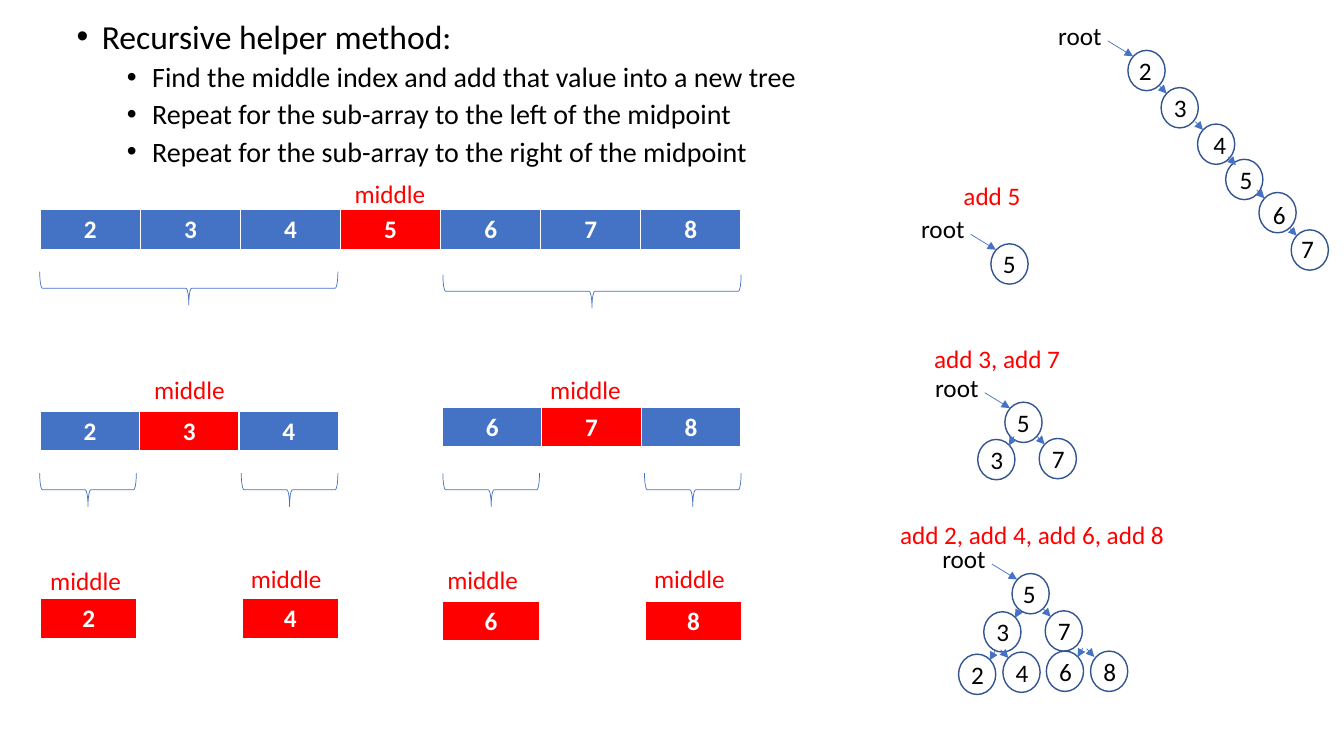
from dataclasses import dataclass

from lxml.etree import SubElement
from pptx import Presentation
from pptx.dml.color import RGBColor
from pptx.enum.shapes import MSO_CONNECTOR, MSO_SHAPE
from pptx.enum.text import MSO_ANCHOR, MSO_AUTO_SIZE, PP_ALIGN
from pptx.oxml.ns import qn
from pptx.slide import Slide
from pptx.text.text import Font
from pptx.util import Pt


@dataclass(frozen=True)
class Theme:
    font: str = "Calibri"
    heading_size: int = 24
    point_size: int = 20
    label_size: int = 18
    black: RGBColor = RGBColor(0x00, 0x00, 0x00)
    white: RGBColor = RGBColor(0xFF, 0xFF, 0xFF)
    red: RGBColor = RGBColor(0xFF, 0x00, 0x00)
    blue: RGBColor = RGBColor(0x44, 0x72, 0xC4)
    outline: RGBColor = RGBColor(0x32, 0x54, 0x91)


@dataclass(frozen=True)
class ArrayRow:
    left: float
    top: float
    values: str
    column_width: float
    label_left: float
    label_top: float


@dataclass(frozen=True)
class Brace:
    left: float
    top: float
    width: float


@dataclass(frozen=True)
class Arrow:
    """Start and end, measured from the top left of the node it points to."""
    start_x: float
    start_y: float
    end_x: float
    end_y: float


@dataclass(frozen=True)
class Node:
    value: str
    left: float
    top: float
    arrow: Arrow
    text_x: float = 2
    text_y: float = 0
    arrow_shift: float = 0


@dataclass(frozen=True)
class Caption:
    text: str
    left: float
    top: float
    width: float


THEME = Theme()
NODE_WIDTH, LABEL_HEIGHT = 26.6, 28.8
ROW_HEIGHT, BRACE_DEPTH = 29, 23.8
MIDDLE_WIDTH, ROOT_WIDTH = 77, 64
ROOT_X, ROOT_Y = -56.9, -25.2

TO_ROOT = Arrow(-14.4, -6.8, 3.6, 4.2)
TO_RIGHT = Arrow(-1.6, -1.7, 3.9, 4.2)
TO_LEFT = Arrow(26, -2.2, 22.3, 4.3)

OUTLINE = [
    (1, "Recursive helper method:"),
    (2, "Find the middle index and add that value into a new tree"),
    (2, "Repeat for the sub-array to the left of the midpoint"),
    (2, "Repeat for the sub-array to the right of the midpoint"),
]
ARRAYS = [
    ArrayRow(28.8, 149.8, "2345678", 71.5, 246.2, 123.8),
    ArrayRow(28.8, 293.8, "234", 71, 103, 264.2),
    ArrayRow(316.1, 290.9, "678", 71, 385.9, 264.2),
    ArrayRow(28.8, 427.7, "2", 69.1, 28.8, 400.3),
    ArrayRow(172.8, 427.7, "4", 69.1, 172.1, 398.9),
    ArrayRow(316.1, 429.8, "6", 69.1, 312.5, 399.6),
    ArrayRow(460.8, 429.8, "8", 69.1, 460.1, 398.9),
]
BRACES = [Brace(28.4, 194, 213), Brace(316.4, 196.2, 213)]
BRACES += [Brace(28.4 + 144 * index, 338, 69) for index in range(4)]

TREES = [
    [Node("2", 805.7, 36, TO_ROOT, 0.7),
     Node("3", 829.4, 62.6, TO_RIGHT),
     Node("4", 855.4, 88.6, TO_RIGHT, 4.3),
     Node("5", 875.5, 113.8, TO_RIGHT, 2.9, arrow_shift=3.4),
     Node("6", 899.3, 137.5, TO_RIGHT, 2.9, 1.4),
     Node("7", 922.3, 164.2, TO_RIGHT, 0, -1.4)],
    [Node("5", 707.8, 174.2, TO_ROOT, 1.4)],
    [Node("5", 717.8, 287.3, TO_ROOT, 1.4),
     Node("3", 698.4, 313.9, TO_LEFT),
     Node("7", 742.3, 313.2, TO_RIGHT)],
    [Node("5", 722.9, 409.7, TO_ROOT, 0.7),
     Node("3", 702.7, 437, TO_LEFT),
     Node("7", 746.6, 436.3, TO_RIGHT),
     Node("2", 684.7, 467.3, TO_LEFT),
     Node("4", 716.4, 465.8, TO_RIGHT),
     Node("6", 747.4, 465.1, TO_LEFT),
     Node("8", 779, 465.1, TO_RIGHT, arrow_shift=-1.2)],
]
CAPTIONS = [
    Caption("add 5", 681.1, 125.3, 98),
    Caption("add 3, add 7", 660.2, 241.9, 133),
    Caption("add 2, add 4, add 6, add 8", 635.8, 367.2, 214),
]


def style_font(font: Font, size: float, color: RGBColor, bold: bool = False) -> None:
    font.name, font.size, font.bold = THEME.font, Pt(size), bold
    font.color.rgb = color


def add_label(page: Slide, text: str, left: float, top: float, width: float,
              color: RGBColor = THEME.black) -> None:
    box = page.shapes.add_textbox(Pt(left), Pt(top), Pt(width), Pt(LABEL_HEIGHT))
    frame = box.text_frame
    frame.text = text
    frame.word_wrap = True
    frame.auto_size = MSO_AUTO_SIZE.SHAPE_TO_FIT_TEXT
    style_font(frame.paragraphs[0].runs[0].font, THEME.label_size, color)


def fill_outline(page: Slide) -> None:
    body = page.placeholders[1]
    body.left, body.top, body.width, body.height = Pt(11.5), Pt(10.8), Pt(584.6), Pt(122.4)
    frame = body.text_frame
    frame.text = "\n".join(text for _, text in OUTLINE)
    frame.auto_size = MSO_AUTO_SIZE.NONE
    frame.vertical_anchor = MSO_ANCHOR.TOP
    for para, (level, _) in zip(frame.paragraphs, OUTLINE):
        para.level = level
        para.line_spacing, para.space_before = 0.9, Pt(5)
        properties = para._p.get_or_add_pPr()
        properties.set("marL", str(Pt(18 + 36 * level)))
        properties.set("indent", str(Pt(-18)))
        SubElement(properties, qn("a:buFont"), typeface="Arial")
        SubElement(properties, qn("a:buChar"), char="•")
        size = THEME.heading_size if level == 1 else THEME.point_size
        style_font(para.runs[0].font, size, THEME.black)


def add_array(page: Slide, row: ArrayRow) -> None:
    count = len(row.values)
    table = page.shapes.add_table(1, count, Pt(row.left), Pt(row.top),
                                  Pt(row.column_width * count), Pt(ROW_HEIGHT)).table
    table.first_row = table.horz_banding = False
    for index, value in enumerate(row.values):
        table.columns[index].width = Pt(row.column_width)
        cell = table.cell(0, index)
        cell.text = value
        para = cell.text_frame.paragraphs[0]
        para.alignment = PP_ALIGN.CENTER
        style_font(para.runs[0].font, THEME.label_size, THEME.white, True)
        # Borders come before the fill in the cell properties
        properties = cell._tc.get_or_add_tcPr()
        for side, weight in (("lnL", 1), ("lnR", 1), ("lnT", 1), ("lnB", 3)):
            border = SubElement(properties, qn(f"a:{side}"), w=str(Pt(weight)))
            paint = SubElement(border, qn("a:solidFill"))
            SubElement(paint, qn("a:srgbClr"), val=str(THEME.white))
        cell.fill.solid()
        cell.fill.fore_color.rgb = THEME.red if index == count // 2 else THEME.blue
    add_label(page, "middle", row.label_left, row.label_top, MIDDLE_WIDTH, THEME.red)


def add_brace(page: Slide, brace: Brace) -> None:
    turn = (brace.width - BRACE_DEPTH) / 2
    shape = page.shapes.add_shape(MSO_SHAPE.LEFT_BRACE, Pt(brace.left + turn),
                                  Pt(brace.top - turn), Pt(BRACE_DEPTH), Pt(brace.width))
    shape.rotation = 270
    shape.shadow.inherit = False
    shape.fill.background()
    shape.line.color.rgb, shape.line.width = THEME.blue, Pt(0.5)


def add_node(page: Slide, node: Node) -> None:
    add_label(page, node.value, node.left + node.text_x, node.top + node.text_y, NODE_WIDTH)
    circle = page.shapes.add_shape(MSO_SHAPE.OVAL, Pt(node.left), Pt(node.top),
                                   Pt(NODE_WIDTH), Pt(LABEL_HEIGHT))
    circle.shadow.inherit = False
    circle.fill.background()
    circle.line.color.rgb, circle.line.width = THEME.outline, Pt(1)

    arrow, left = node.arrow, node.left + node.arrow_shift
    link = page.shapes.add_connector(
        MSO_CONNECTOR.STRAIGHT, Pt(left + arrow.start_x), Pt(node.top + arrow.start_y),
        Pt(left + arrow.end_x), Pt(node.top + arrow.end_y))
    link.line.color.rgb, link.line.width = THEME.blue, Pt(0.5)
    SubElement(link.line._get_or_add_ln(), qn("a:tailEnd"), type="triangle")
    SubElement(link._element.spPr, qn("a:effectLst"))


def main() -> None:
    deck = Presentation()
    deck.slide_width, deck.slide_height = Pt(960), Pt(540)
    page = deck.slides.add_slide(deck.slide_layouts[1])
    title = page.shapes.title.element
    title.getparent().remove(title)

    # Method steps and the arrays they split
    fill_outline(page)
    for row in ARRAYS:
        add_array(page, row)
    for brace in BRACES:
        add_brace(page, brace)

    # Trees, each with a pointer to its root
    for tree in TREES:
        add_label(page, "root", tree[0].left + ROOT_X, tree[0].top + ROOT_Y, ROOT_WIDTH)
        for node in tree:
            add_node(page, node)
    for caption in CAPTIONS:
        add_label(page, caption.text, caption.left, caption.top, caption.width, THEME.red)

    deck.save("out.pptx")


if __name__ == "__main__":
    main()
